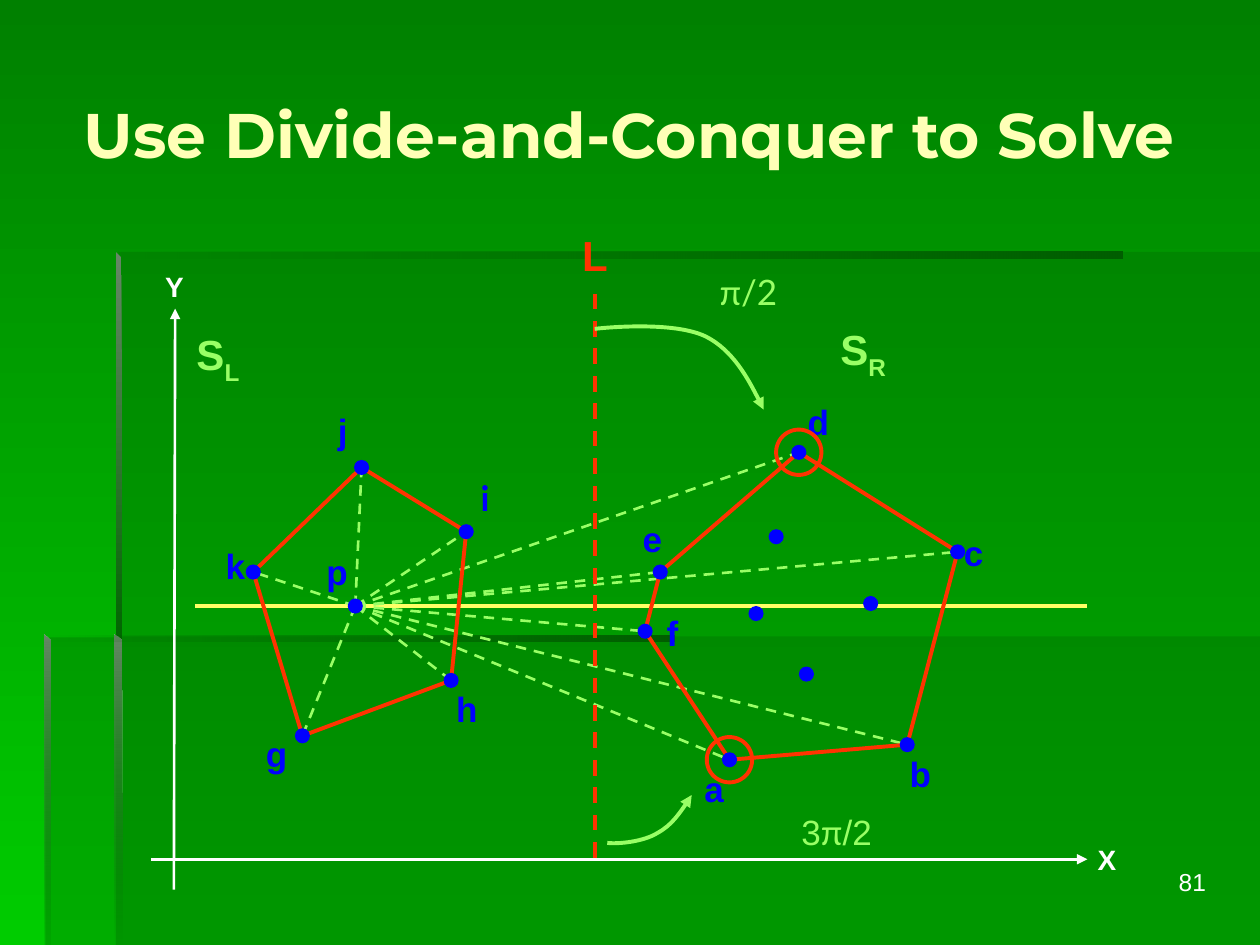
from lxml import etree
from pptx import Presentation
from pptx.dml.color import RGBColor
from pptx.enum import dml, shapes, text
from pptx.oxml.ns import qn
from pptx.util import Inches, Pt

WHITE = RGBColor(0xFF, 0xFF, 0xFF)
CREAM = RGBColor(0xFF, 0xFF, 0xB7)
YELLOW = RGBColor(0xFF, 0xFF, 0x66)
LIME = RGBColor(0x99, 0xFF, 0x66)
RED = RGBColor(0xFF, 0x33, 0x00)
BLUE = RGBColor(0x00, 0x00, 0xFF)
BG_TOP, BG_BOTTOM = RGBColor(0x00, 0x80, 0x00), RGBColor(0x00, 0xCC, 0x00)
SHADE, SHADE_END = RGBColor(0x00, 0x66, 0x00), RGBColor(0x00, 0x5E, 0x00)
GLOW = RGBColor(0x66, 0x86, 0x66)

# Backdrop: outline, colours, opacity of each colour in percent, gradient angle
BACKDROP = [
    ([(0.92, 5.05), (0.92, 7.5), (10, 7.5), (10, 5.05)], [SHADE], [30], 0),
    ([(0.94, 5.06), (0.36, 5.06), (0.36, 7.5), (10, 7.5), (10, 2), (0.94, 2)],
     [SHADE], [30], 0),
    ([(0.92, 2), (0.92, 2.05), (8.91, 2.05), (8.91, 2)], [SHADE, SHADE_END], [0, 100], 0),
    ([(0.92, 2), (0.92, 5.1), (0.97, 5.1), (0.96, 2.04)], [GLOW, SHADE], [100, 100], 270),
    ([(0.91, 7.5), (0.97, 7.5), (0.96, 5.08), (0.91, 5.04)], [GLOW, SHADE], [100, 0], 270),
    ([(0.35, 5.04), (0.35, 5.09), (5.35, 5.09), (5.35, 5.04)],
     [SHADE, SHADE_END], [0, 100], 0),
    ([(0.35, 5.04), (0.35, 7.5), (0.4, 7.5), (0.4, 5.09)], [GLOW, SHADE], [100, 10], 270),
]

# Vertices: centre, then left, top and width of the letter
VERTICES = {
    "a": ((5.79, 6.03), (5.59, 6.09, 0.15)),
    "b": ((7.2, 5.91), (7.22, 5.97, 0.17)),
    "c": ((7.6, 4.38), (7.65, 4.22, 0.15)),
    "d": ((6.34, 3.59), (6.41, 3.18, 0.17)),
    "e": ((5.24, 4.54), (5.1, 4.11, 0.15)),
    "f": ((5.12, 5.01), (5.29, 4.85, 0.09)),
    "g": ((2.4, 5.84), (2.11, 5.81, 0.17)),
    "h": ((3.58, 5.4), (3.62, 5.46, 0.17)),
    "i": ((3.7, 4.22), (3.81, 3.78, 0.08)),
    "j": ((2.87, 3.71), (2.68, 3.25, 0.08)),
    "k": ((2.01, 4.54), (1.79, 4.32, 0.15)),
    "p": ((2.82, 4.81), (2.59, 4.37, 0.17)),
}
HULLS = ["abcdef", "ghijk"]
EXTREMES = "ad"
INNER_POINTS = [(6.16, 4.26), (6.91, 4.79), (6, 4.87), (6.4, 5.35)]
DOT, RING = 0.12, 0.36

# Cubic curves: start point, then three points for each segment
SWEEPS = [
    [(4.72, 2.61), (4.9, 2.59), (5.37, 2.56), (5.6, 2.67),
     (5.82, 2.78), (5.99, 3.1), (6.06, 3.25)],
    [(4.82, 6.69), (4.91, 6.7), (5.11, 6.68), (5.22, 6.61),
     (5.33, 6.55), (5.45, 6.38), (5.49, 6.31)],
]

# Captions: box, runs of (text, font, is subscript), size, colour, bold
CAPTIONS = [
    ((1.31, 2.14, 0.15, 0.27), [("Y", "Arial", False)], 16, WHITE, True),
    ((8.71, 6.69, 0.15, 0.27), [("X", "Arial", False)], 16, WHITE, True),
    ((1.55, 2.61, 0.36, 0.4), [("S", "Arial", False), ("L", "Arial", True)], 24, LIME, True),
    ((6.66, 2.57, 0.38, 0.4), [("S", "Arial", False), ("R", "Arial", True)], 24, LIME, True),
    ((4.62, 1.82, 0.2, 0.4), [("L", "Arial", False)], 24, RED, True),
    ((5.69, 2.15, 0.5, 0.34), [("π/2", "Lato", False)], 20, LIME, False),
    ((6.33, 6.43, 0.62, 0.34),
     [("3", "Arial", False), ("π", "Lato", False), ("/2", "Arial", False)], 20, LIME, False),
]

prs = Presentation()
prs.slide_width, prs.slide_height = Inches(10), Inches(7.5)
slide = prs.slides.add_slide(prs.slide_layouts[6])


def paint(fill, colours, angle):
    if len(colours) == 1:
        fill.solid()
        fill.fore_color.rgb = colours[0]
        return
    fill.gradient()
    fill.gradient_angle = angle
    for stop, colour in zip(fill.gradient_stops, colours):
        stop.color.rgb = colour


def add_outline(points, close):
    start, *rest = [(Inches(x), Inches(y)) for x, y in points]
    builder = slide.shapes.build_freeform(*start)
    builder.add_line_segments(rest, close=close)
    outline = builder.convert_to_shape()
    outline.shadow.inherit = False
    return outline


def style_line(line, colour, width, dashed=False):
    line.color.rgb = colour
    line.width = Pt(width)
    if dashed:
        line.dash_style = dml.MSO_LINE.DASH


def add_arrowhead(shape):
    ln = shape._element.spPr.find(qn("a:ln"))
    etree.SubElement(ln, qn("a:tailEnd"), type="triangle")


def add_line(start, end, colour, width, dashed=False, arrow=False):
    line = slide.shapes.add_connector(
        shapes.MSO_CONNECTOR.STRAIGHT, *[Inches(v) for v in (*start, *end)])
    style_line(line.line, colour, width, dashed)
    if arrow:
        add_arrowhead(line)
    etree.SubElement(line._element.spPr, qn("a:effectLst"))


def add_circle(centre, size):
    x, y = centre
    circle = slide.shapes.add_shape(
        shapes.MSO_SHAPE.OVAL, Inches(x - size / 2), Inches(y - size / 2),
        Inches(size), Inches(size))
    circle.shadow.inherit = False
    return circle


def add_dot(centre):
    dot = add_circle(centre, DOT)
    paint(dot.fill, [BLUE], 0)
    dot.line.fill.background()


def add_text(box, runs, size, colour, bold, align=text.PP_ALIGN.CENTER, label=True):
    frame = slide.shapes.add_textbox(*[Inches(v) for v in box]).text_frame
    frame.word_wrap = not label
    if label:
        frame.margin_left = frame.margin_right = frame.margin_top = frame.margin_bottom = 0
        frame.auto_size = text.MSO_AUTO_SIZE.SHAPE_TO_FIT_TEXT
    line = frame.paragraphs[0]
    line.alignment = align
    line.font.size, line.font.bold = Pt(size), bold
    line.font.color.rgb = colour
    for content, font, subscript in runs:
        run = line.add_run()
        run.text, run.font.name = content, font
        if subscript:
            run.font._element.set("baseline", "-25000")
    return frame


# Background and translucent panels
paint(slide.background.fill, [BG_TOP, BG_BOTTOM], 270)
for points, colours, opacities, angle in BACKDROP:
    panel = add_outline(points, True)
    paint(panel.fill, colours, angle)
    panel.line.fill.background()
    for colour, opacity in zip(panel._element.spPr.iter(qn("a:srgbClr")), opacities):
        if opacity < 100:
            etree.SubElement(colour, qn("a:alpha"), val=str(opacity * 1000))

# Title and slide number
title = add_text((0.41, 0.27, 9.17, 1.57),
                 [("Use Divide-and-Conquer to Solve", "Montserrat", False)],
                 36, CREAM, True, label=False)
title.vertical_anchor = text.MSO_ANCHOR.MIDDLE
add_text((7.59, 6.83, 2.08, 0.52), [("81", "Arial", False)], 14, WHITE, False,
         text.PP_ALIGN.RIGHT, label=False)

# Horizontal line through p, rays to every vertex, hull edges
centres = {name: centre for name, (centre, _) in VERTICES.items()}
add_line((1.55, 4.81), (8.63, 4.81), YELLOW, 2.25)
for hull in HULLS:
    for name in hull:
        add_line(centres["p"], centres[name], LIME, 1.5, dashed=True)
for hull in HULLS:
    for name, following in zip(hull, hull[1:] + hull[0]):
        add_line(centres[name], centres[following], RED, 2.25)

# Axes and dividing line
add_line((1.38, 7.06), (1.39, 2.45), WHITE, 1.5, arrow=True)
add_line((1.2, 6.82), (8.63, 6.82), WHITE, 1.5, arrow=True)
add_line((4.72, 2.33), (4.72, 6.82), RED, 2.25, dashed=True)

# Points and their letters
for centre in [*centres.values(), *INNER_POINTS]:
    add_dot(centre)
for name, (_, (left, top, width)) in VERTICES.items():
    font = "Lato" if name == "i" else "Arial"
    add_text((left, top, width, 0.33), [(name, font, False)], 20, BLUE, True)

# Sweep arrows: each three line segments become one cubic curve
for points in SWEEPS:
    sweep = add_outline(points, False)
    sweep.fill.background()
    style_line(sweep.line, LIME, 2.25)
    add_arrowhead(sweep)
    steps = list(sweep._element.iter(qn("a:lnTo")))
    for first in range(0, len(steps), 3):
        curve = etree.SubElement(steps[first].getparent(), qn("a:cubicBezTo"))
        for step in steps[first:first + 3]:
            curve.append(step[0])
            step.getparent().remove(step)

# Captions and rings round the extreme vertices
for caption in CAPTIONS:
    add_text(*caption)
for name in EXTREMES:
    ring = add_circle(centres[name], RING)
    ring.fill.background()
    style_line(ring.line, RED, 2.25)

prs.save("out.pptx")
